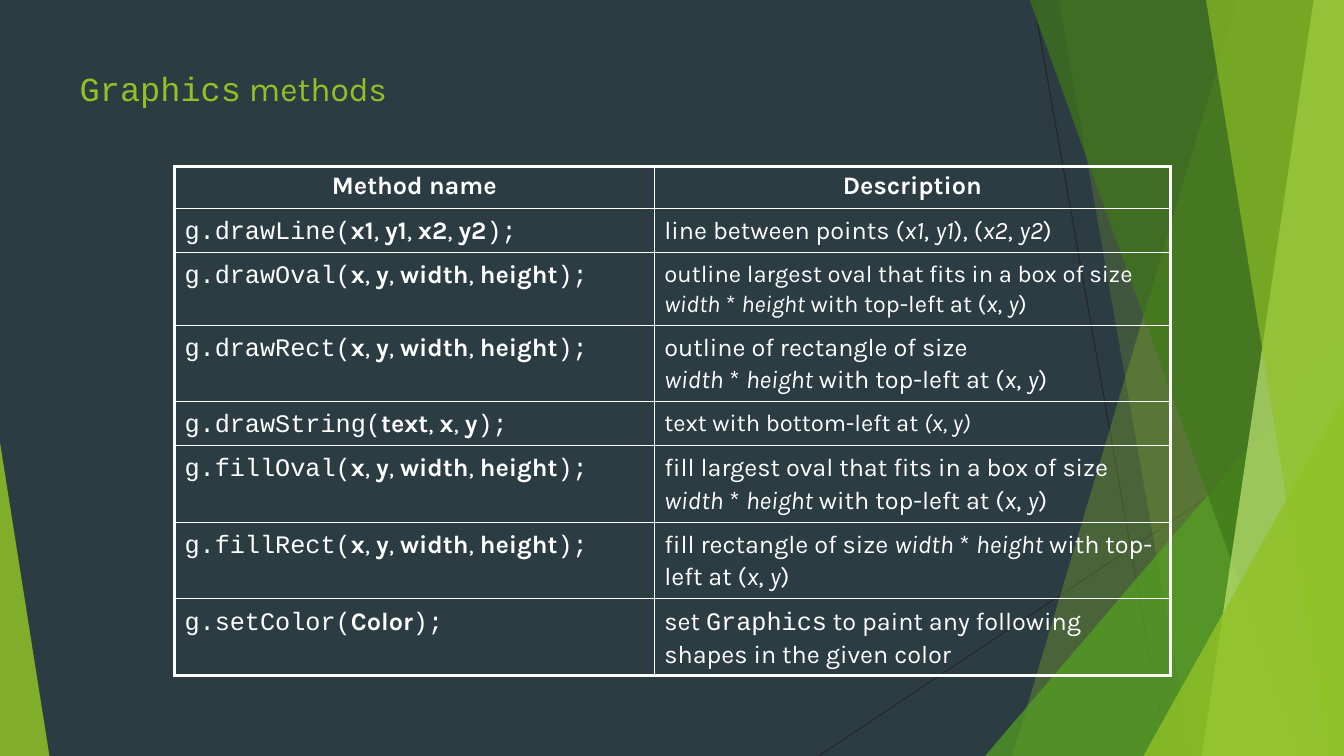
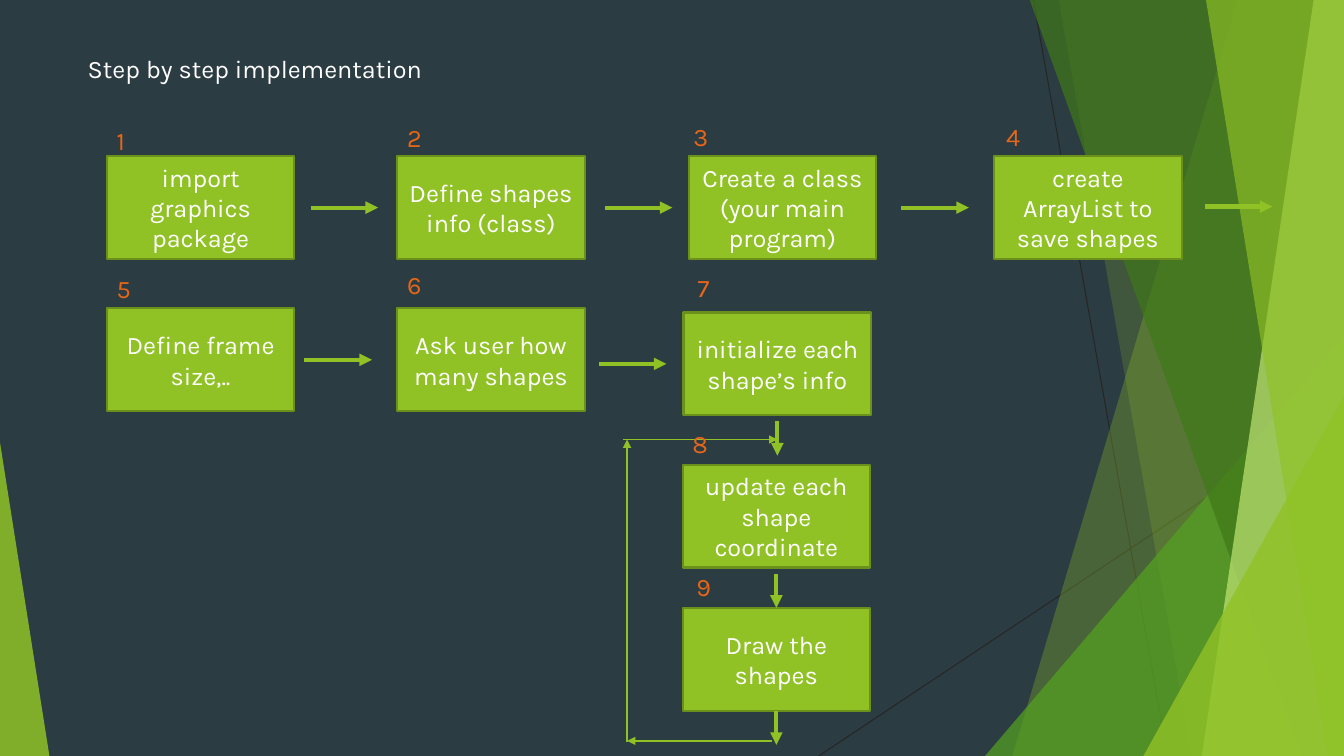
from itertools import groupby

from pptx import Presentation, util as u
from pptx.dml.color import RGBColor
from pptx.enum import shapes, text
from pptx.oxml import parse_xml
from pptx.oxml.ns import nsdecls
from pptx.oxml.xmlchemy import OxmlElement

WIDTH, HEIGHT = 13.33, 7.5
SANS, MONO = "Karla", "Courier New"

NIGHT = RGBColor(0x2C, 0x3C, 0x43)
LIME = RGBColor(0x90, 0xC2, 0x26)
LEAF = RGBColor(0x54, 0xA0, 0x21)
FOREST = RGBColor(0x3F, 0x78, 0x19)
PALE_LIME = RGBColor(0xC0, 0xE4, 0x74)
MOSS = RGBColor(0x6B, 0x90, 0x1C)
ORANGE = RGBColor(0xE7, 0x66, 0x18)
CHARCOAL = RGBColor(0x26, 0x26, 0x26)
WHITE = RGBColor(0xFF, 0xFF, 0xFF)

MARKS = {"`": {"name": MONO}, "_": {"italic": True}, "~": {"bold": True}}

HAIRLINES = [(10.25, 0, 11.58, HEIGHT), (WIDTH, 4.03, 8.12, HEIGHT)]
FACETS = [
    ("panel", 12.28, 10.04, LIME, 30),
    ("panel", 10.5, 11.82, LIME, 20),
    ("triangle", (9.77, 3.33, 3.56, 4.17), 1, LEAF, 72),
    ("panel", 10.21, 12.91, FOREST, 70),
    ("panel", 13.03, 11.92, PALE_LIME, 70),
    ("panel", 11.96, 13.17, LIME, 65),
    ("triangle", (11.34, 3.93, 1.99, 3.57), 1, LIME, 80),
    ("triangle", (0, 4.39, 0.49, 3.11), 0, LIME, 85),
]

CORNER = "_width_ * _height_ with top-left at (_x_, _y_)"
FITTED_OVAL = "largest oval that fits in a box of size " + CORNER
BOX_ARGUMENTS = "x, y, width, height"
METHODS = [
    ("drawLine", "x1, y1, x2, y2", "line between points (_x1_, _y1_), (_x2_, _y2_)", 18),
    ("drawOval", BOX_ARGUMENTS, "outline " + FITTED_OVAL, 17),
    ("drawRect", BOX_ARGUMENTS, "outline of rectangle of size\n" + CORNER, 18),
    ("drawString", "text, x, y", "text with bottom-left at _(x, y)_", 17),
    ("fillOval", BOX_ARGUMENTS, "fill " + FITTED_OVAL, 18),
    ("fillRect", BOX_ARGUMENTS, "fill rectangle of size " + CORNER, 18),
    ("setColor", "Color",
     "set `Graphics` to paint any following shapes in the given color", 18),
]
TABLE_COLUMNS = (4.76, 5.12)
TABLE_ROWS = (0.42, 0.43, 0.72, 0.76, 0.43, 0.76, 0.76, 0.76)

STEP_COLUMNS = (1.06, 3.94, 6.77, 9.86)
STEP_ROWS = (1.55, 3.06, 4.61, 6.03)
STEP_SIZE = (1.86, 1.02)
STEPS = [
    ("import graphics package", 0, 0, (0, 0), (0, 0.36)),
    ("Define shapes info (class)", 1, 0, (0, 0), (0, 0.39)),
    ("Create a class\n(your main program)", 2, 0, (0.06, 0), (-0.05, 0.4)),
    ("create ArrayList to save shapes", 3, 0, (0, 0), (0.02, 0.4)),
    ("Define frame size,..", 0, 1, (0, 0), (0, 0.4)),
    ("Ask user how many shapes", 1, 1, (0, 0), (0, 0.44)),
    ("initialize each shape’s info", 2, 1, (0.01, 0.04), (0.04, 0.45)),
    ("update each shape coordinate", 2, 2, (0, 0), (0, 0.41)),
    ("Draw the shapes", 2, 3, (0, 0), (0.04, 0.41)),
]
ACROSS, DOWN = 0.67, 0.34
ACROSS_STARTS = [(3.08, 2.06), (6, 2.06), (8.94, 2.06), (11.95, 2.05),
                 (3.02, 3.57), (5.94, 3.61)]
DOWN_STARTS = [(7.71, 4.18), (7.7, 5.69), (7.7, 7.05)]
LOOP = [(7.66, 7.35, 6.22, 7.35), (6.22, 7.36, 6.22, 4.36), (6.18, 4.36, 7.71, 4.36)]


def inches(*values):
    return [u.Inches(value) for value in values]


def split_marked(marked):
    style = ""
    for mark, group in groupby(marked, key=lambda char: char if char in MARKS else ""):
        if mark:
            style = "" if style else mark
        else:
            yield style, "".join(group)


def write(paragraph, marked, size=18, color=WHITE, **paragraph_format):
    for name, value in paragraph_format.items():
        setattr(paragraph, name, value)
    for number, line in enumerate(marked.split("\n")):
        if number:
            paragraph.add_line_break()
        for style, piece in split_marked(line):
            run = paragraph.add_run()
            run.text = piece
            font = {"name": SANS, "size": u.Pt(size), "bold": False, "italic": False}
            for name, value in (font | MARKS.get(style, {})).items():
                setattr(run.font, name, value)
            run.font.color.rgb = color


def paint(shape, color, opacity=100):
    shape.shadow.inherit = False
    shape.fill.solid()
    shape.fill.fore_color.rgb = color
    shape.line.fill.background()
    if opacity < 100:
        alpha = OxmlElement("a:alpha")
        alpha.set("val", str(opacity * 1000))
        shape.element.spPr.find(".//" + "{*}srgbClr").append(alpha)


def add_line(slide, ends, color, width, arrow=False):
    line = slide.shapes.add_connector(shapes.MSO_CONNECTOR.STRAIGHT, *inches(*ends))
    line.line.color.rgb = color
    line.line.width = u.Pt(width)
    if arrow:
        tail = OxmlElement("a:tailEnd")
        tail.set("type", "triangle")
        line.line._get_or_add_ln().append(tail)
    line.element.spPr.append(OxmlElement("a:effectLst"))
    return line


def add_panel(slide, top_left, bottom_left, color, opacity):
    corners = [(top_left, -0.01), (WIDTH, -0.01), (WIDTH, HEIGHT), (bottom_left, HEIGHT)]
    points = [inches(*corner) for corner in corners]
    outline = slide.shapes.build_freeform(*points[0])
    outline.add_line_segments(points[1:], close=True)
    paint(outline.convert_to_shape(), color, opacity)


def add_triangle(slide, place, apex, color, opacity):
    triangle = slide.shapes.add_shape(
        shapes.MSO_SHAPE.ISOSCELES_TRIANGLE, *inches(*place))
    triangle.adjustments[0] = apex
    paint(triangle, color, opacity)


def dress_master(master, slide):
    master.background.fill.solid()
    master.background.fill.fore_color.rgb = NIGHT
    for ends in HAIRLINES:
        add_line(slide, ends, CHARCOAL, 0.75)
    painters = {"panel": add_panel, "triangle": add_triangle}
    for kind, *facet in FACETS:
        painters[kind](slide, *facet)
    decorations = [shape for shape in slide.shapes if not shape.is_placeholder]
    for number, shape in enumerate(decorations):
        shape.element.xpath(".//p:cNvPr")[0].set("id", str(100 + number))
        master.shapes.element.insert(2 + number, shape.element)


def set_title(slide, place, marked, size, color):
    title = slide.shapes.title
    for name, value in zip(("left", "top", "width", "height"), inches(*place)):
        setattr(title, name, value)
    frame = title.text_frame
    settings = {"word_wrap": True, "auto_size": text.MSO_AUTO_SIZE.NONE,
                "vertical_anchor": text.MSO_ANCHOR.TOP}
    for name, value in settings.items():
        setattr(frame, name, value)
    write(frame.paragraphs[0], marked, size, color, alignment=text.PP_ALIGN.LEFT)


def set_borders(cell, widths):
    properties = cell._tc.get_or_add_tcPr()
    for position, (side, width) in enumerate(zip("LRTB", widths)):
        properties.insert(position, parse_xml(
            f'<a:ln{side} {nsdecls("a")} w="{u.Pt(width)}"><a:solidFill>'
            f'<a:srgbClr val="{WHITE}"/></a:solidFill></a:ln{side}>'))


def add_methods_table(slide):
    rows = [[("~Method name~", 18), ("~Description~", 18)]]
    for method, arguments, description, size in METHODS:
        bold = ", ".join(f"~{name}~" for name in arguments.split(", "))
        rows.append([(f"`g.{method}(`{bold}`);`", 18), (description, size)])
    place = inches(1.73, 1.65, sum(TABLE_COLUMNS), sum(TABLE_ROWS))
    table = slide.shapes.add_table(len(rows), len(TABLE_COLUMNS), *place).table
    table.first_row = table.horz_banding = False
    for column, width in zip(table.columns, TABLE_COLUMNS):
        column.width = u.Inches(width)
    for row, height in zip(table.rows, TABLE_ROWS):
        row.height = u.Inches(height)
    for r, row in enumerate(rows):
        for c, (marked, size) in enumerate(row):
            cell = table.cell(r, c)
            cell.fill.background()
            outer = (c == 0, c == len(row) - 1, r == 0, r == len(rows) - 1)
            set_borders(cell, [2.25 if edge else 1 for edge in outer])
            layout = {"line_spacing": 1.1} if r else {"alignment": text.PP_ALIGN.CENTER}
            write(cell.text_frame.paragraphs[0], marked, size, **layout)


def add_step(slide, place, label):
    step = slide.shapes.add_shape(shapes.MSO_SHAPE.RECTANGLE, *inches(*place, *STEP_SIZE))
    paint(step, LIME)
    step.line.color.rgb = MOSS
    step.line.width = u.Pt(1.5)
    step.text_frame.word_wrap = True
    step.text_frame.vertical_anchor = text.MSO_ANCHOR.MIDDLE
    write(step.text_frame.paragraphs[0], label, alignment=text.PP_ALIGN.CENTER)
    return step


def add_number(slide, place, number):
    frame = slide.shapes.add_textbox(*inches(*place, 0.27, 0.4)).text_frame
    frame.word_wrap = True
    frame.auto_size = text.MSO_AUTO_SIZE.SHAPE_TO_FIT_TEXT
    write(frame.paragraphs[0], str(number), color=ORANGE)


def add_flow(slide):
    steps, number_places = [], []
    for label, column, row, (right, down), (shift, rise) in STEPS:
        left, top = STEP_COLUMNS[column] + right, STEP_ROWS[row] + down
        steps.append(add_step(slide, (left, top), label))
        number_places.append((left + shift, top - rise))
    for x, y in ACROSS_STARTS:
        add_line(slide, (x, y, x + ACROSS, y), LIME, 3, arrow=True)
    _, into_draw, out_of_draw = [
        add_line(slide, (x, y, x, y + DOWN), LIME, 3, arrow=True) for x, y in DOWN_STARTS]
    into_draw.end_connect(steps[-1], 0)
    out_of_draw.begin_connect(steps[-1], 2)
    for ends in LOOP:
        add_line(slide, ends, LIME, 1, arrow=True)
    for number, place in enumerate(number_places, 1):
        add_number(slide, place, number)


def main():
    presentation = Presentation()
    presentation.slide_width, presentation.slide_height = inches(WIDTH, HEIGHT)
    title_only = presentation.slide_layouts[5]
    methods, steps = [presentation.slides.add_slide(title_only) for _ in range(2)]
    dress_master(presentation.slide_master, methods)

    set_title(methods, (0.69, 0.62, 4.44, 0.48), "`Graphics` methods", 24, LIME)
    add_methods_table(methods)

    set_title(steps, (0.77, 0.48, 3.81, 0.4), "Step by step implementation", 18, WHITE)
    add_flow(steps)

    presentation.save("out.pptx")


if __name__ == "__main__":
    main()
